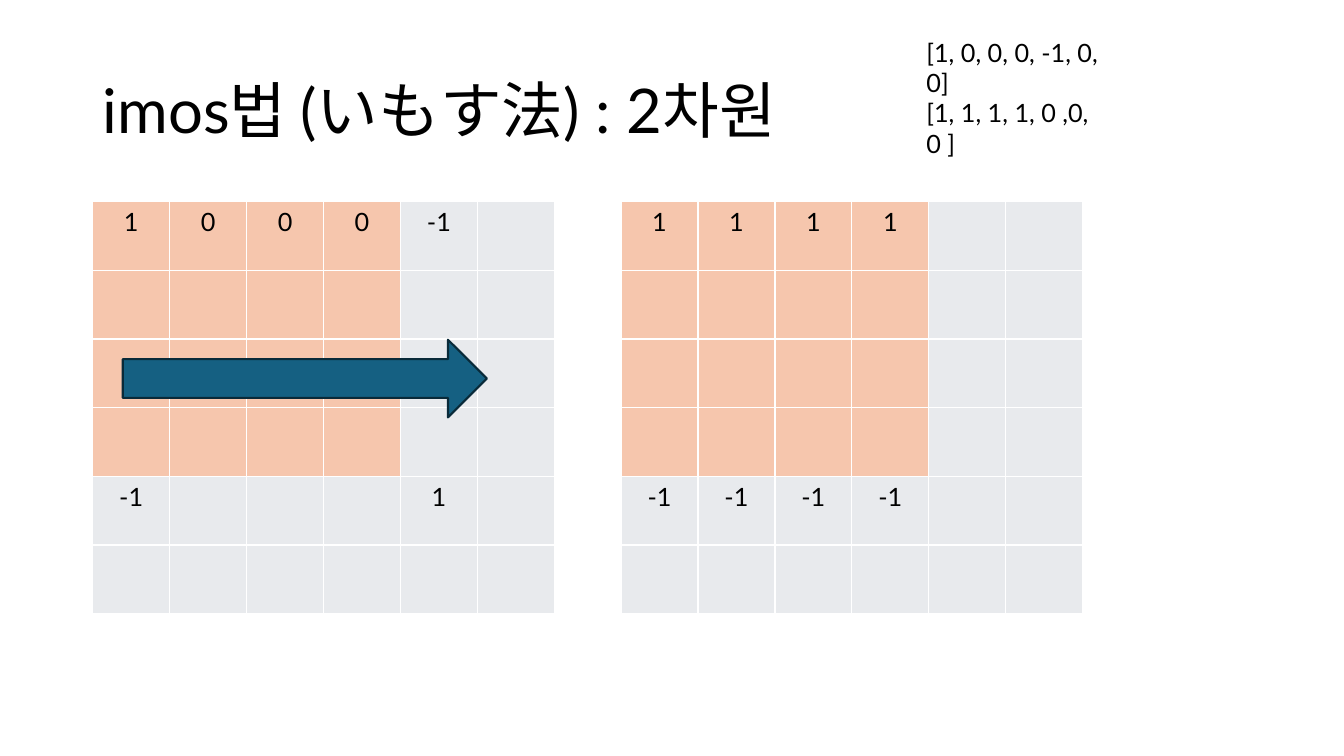
import dataclasses

import lxml.etree
import pptx
import pptx.dml.color
import pptx.enum.shapes
import pptx.enum.text
import pptx.oxml.ns
import pptx.util


@dataclasses.dataclass(frozen=True)
class Theme:
    font: str = "Lato"
    title_size: int = 44
    body_size: int = 18
    text: str = "000000"
    covered: str = "F6C6AD"
    empty: str = "E8EAED"
    border: str = "FFFFFF"
    arrow: str = "156082"
    arrow_line: str = "092A39"


@dataclasses.dataclass(frozen=True)
class Box:
    left: float
    top: float
    width: float
    height: float

    def emu(self):
        return [pptx.util.Inches(length) for length in dataclasses.astuple(self)]

    def cells(self, column, row, columns, rows):
        cell_width, cell_height = self.width / GRID, self.height / GRID
        return Box(self.left + column * cell_width, self.top + row * cell_height,
                   columns * cell_width, rows * cell_height)


THEME = Theme()
GRID = 6
COVERED = 4
DIFFERENCES = {(0, 0): "1", (0, 1): "0", (0, 2): "0", (0, 3): "0",
               (0, 4): "-1", (4, 0): "-1", (4, 4): "1"}
ROW_SUMS = {(row, column): value
            for row, value in ((0, "1"), (4, "-1"))
            for column in range(COVERED)}


def color(value):
    return pptx.dml.color.RGBColor.from_string(value)


def style_paragraph(paragraph, size):
    paragraph.font.name = THEME.font
    paragraph.font.size = pptx.util.Pt(size)
    paragraph.font.color.rgb = color(THEME.text)


def add_text(slide, box, lines, size, anchor, line_spacing=None):
    frame = slide.shapes.add_textbox(*box.emu()).text_frame
    frame.word_wrap = True
    frame.vertical_anchor = anchor
    frame.text = "\n".join(lines)
    for paragraph in frame.paragraphs:
        style_paragraph(paragraph, size)
        paragraph.line_spacing = line_spacing


def add_borders(cell):
    properties = cell._tc.get_or_add_tcPr()
    for side in ("a:lnL", "a:lnR", "a:lnT", "a:lnB"):
        line = lxml.etree.SubElement(properties, pptx.oxml.ns.qn(side),
                                     w=str(pptx.util.Pt(1)))
        fill = lxml.etree.SubElement(line, pptx.oxml.ns.qn("a:solidFill"))
        lxml.etree.SubElement(fill, pptx.oxml.ns.qn("a:srgbClr"), val=THEME.border)


def add_grid(slide, box, values):
    table = slide.shapes.add_table(GRID, GRID, *box.emu()).table
    for row in range(GRID):
        for column in range(GRID):
            cell = table.cell(row, column)
            add_borders(cell)
            cell.fill.solid()
            is_covered = max(row, column) < COVERED
            cell.fill.fore_color.rgb = color(THEME.covered if is_covered else THEME.empty)
            cell.text = values.get((row, column), "")
            paragraph = cell.text_frame.paragraphs[0]
            paragraph.alignment = pptx.enum.text.PP_ALIGN.CENTER
            style_paragraph(paragraph, THEME.body_size)


def add_sweep_arrow(slide, box):
    arrow = slide.shapes.add_shape(pptx.enum.shapes.MSO_SHAPE.RIGHT_ARROW, *box.emu())
    arrow.shadow.inherit = False
    arrow.fill.solid()
    arrow.fill.fore_color.rgb = color(THEME.arrow)
    arrow.line.color.rgb = color(THEME.arrow_line)
    arrow.line.width = pptx.util.Pt(1.5)


def main():
    presentation = pptx.Presentation()
    presentation.slide_width = pptx.util.Inches(13.33)
    presentation.slide_height = pptx.util.Inches(7.5)
    slide = presentation.slides.add_slide(presentation.slide_layouts[6])

    difference_box = Box(0.92, 2, 4.58, 4.09)
    sum_box = dataclasses.replace(difference_box, left=6.16)
    add_text(slide, Box(0.92, 0.4, 11.5, 1.45), ["imos법 (いもす法) : 2차원"],
             THEME.title_size, pptx.enum.text.MSO_ANCHOR.MIDDLE, 0.9)
    add_grid(slide, difference_box, DIFFERENCES)
    add_sweep_arrow(slide, difference_box.cells(0.39, 2.01, 4.73, 1.13))
    add_grid(slide, sum_box, ROW_SUMS)
    add_text(slide, Box(9.09, 0.32, 2.1, 0.71),
             ["[1, 0, 0, 0, -1, 0, 0]", "[1, 1, 1, 1, 0 ,0, 0 ]"],
             THEME.body_size, pptx.enum.text.MSO_ANCHOR.TOP)
    presentation.save("out.pptx")


if __name__ == "__main__":
    main()
